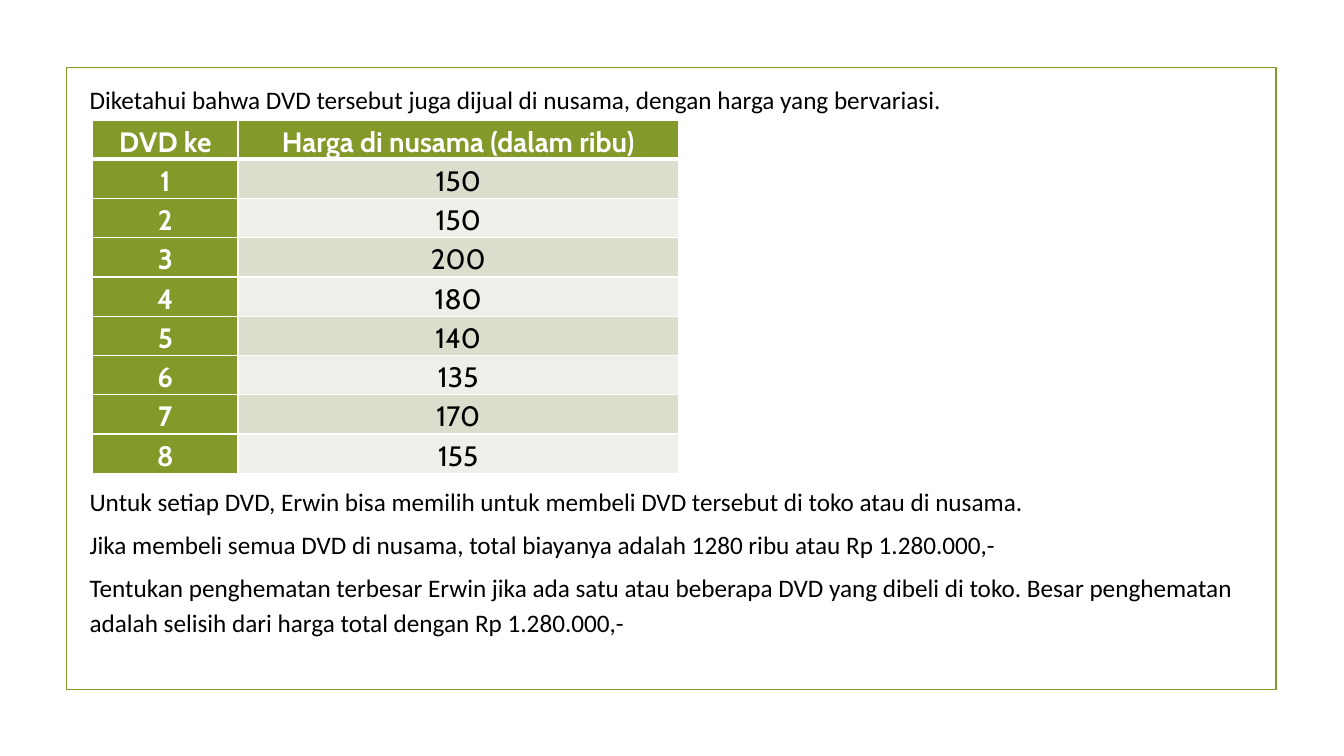
from dataclasses import dataclass

from lxml.etree import SubElement
from pptx import Presentation
from pptx.dml.color import RGBColor
from pptx.enum.shapes import MSO_SHAPE as Shape
from pptx.enum.text import MSO_ANCHOR as Anchor, MSO_AUTO_SIZE as AutoSize, PP_ALIGN as Align
from pptx.oxml.ns import qn
from pptx.util import Inches, Pt

GREEN, WHITE, BLACK = "83992A", "FFFFFF", "000000"
BANDS = ("D9DECD", "EDEFE8")
HEADINGS = ("DVD ke", "Harga di nusama (dalam ribu)")
PRICES = (150, 150, 200, 180, 140, 135, 170, 155)
COLUMN_WIDTHS = (1.44, 4.37)
TABLE_HEIGHT = 3.45


@dataclass(frozen=True)
class TextBlock:
    left: float
    top: float
    width: float
    height: float
    lines: tuple[str, ...]


@dataclass(frozen=True)
class TextStyle:
    font: str
    size: float
    color: str
    bold: bool = False
    align: Align = Align.LEFT


BODY = TextStyle("Calibri", 18, BLACK)
HEADER = TextStyle("Cabin", 20, WHITE, True, Align.CENTER)
PRICE = TextStyle("Cabin", 20, BLACK, False, Align.CENTER)

BLOCKS = (
    TextBlock(0.79, 0.74, 8.75, 0.45, (
        "Diketahui bahwa DVD tersebut juga dijual di nusama, dengan harga yang bervariasi.",
    )),
    TextBlock(0.79, 4.73, 11.69, 1.66, (
        "Untuk setiap DVD, Erwin bisa memilih untuk membeli DVD tersebut di toko atau di nusama.",
        "Jika membeli semua DVD di nusama, total biayanya adalah 1280 ribu atau Rp 1.280.000,-",
        "Tentukan penghematan terbesar Erwin jika ada satu atau beberapa DVD yang dibeli di toko. "
        "Besar penghematan adalah selisih dari harga total dengan Rp 1.280.000,-",
    )),
)


def rgb(color: str) -> RGBColor:
    return RGBColor.from_string(color)


def style_text(frame, style: TextStyle) -> None:
    for para in frame.paragraphs:
        para.alignment = style.align
        para.line_spacing = 1.15
        para.space_after = Pt(6)
        for run in para.runs:
            run.font.name = style.font
            run.font.size = Pt(style.size)
            run.font.bold = style.bold
            run.font.color.rgb = rgb(style.color)


def add_frame(page) -> None:
    box = page.shapes.add_shape(Shape.RECTANGLE, Inches(0.66), Inches(0.67), Inches(12), Inches(6.17))
    box.shadow.inherit = False
    box.fill.background()
    box.line.color.rgb = rgb(GREEN)
    box.line.width = Pt(1.25)


def add_text(page, block: TextBlock) -> None:
    box = page.shapes.add_textbox(
        Inches(block.left), Inches(block.top), Inches(block.width), Inches(block.height))
    frame = box.text_frame
    frame.word_wrap = True
    frame.auto_size = AutoSize.SHAPE_TO_FIT_TEXT
    frame.text = "\n".join(block.lines)
    style_text(frame, BODY)


def add_borders(cell, bottom: float) -> None:
    """Draw white cell borders; must run before the cell is filled."""
    properties = cell._tc.get_or_add_tcPr()
    for side, width in (("L", 1), ("R", 1), ("T", 1), ("B", bottom)):
        line = SubElement(properties, qn(f"a:ln{side}"), w=str(Pt(width)))
        fill = SubElement(line, qn("a:solidFill"))
        SubElement(fill, qn("a:srgbClr"), val=WHITE)


def add_price_table(page) -> None:
    rows = [HEADINGS, *((str(number), str(price)) for number, price in enumerate(PRICES, 1))]
    table = page.shapes.add_table(
        len(rows), len(HEADINGS), Inches(0.92), Inches(1.19),
        Inches(sum(COLUMN_WIDTHS)), Inches(TABLE_HEIGHT)).table
    table.first_col = True
    for column, width in zip(table.columns, COLUMN_WIDTHS):
        column.width = Inches(width)
    for r, row in enumerate(rows):
        for c, text in enumerate(row):
            is_header = r == 0 or c == 0
            cell = table.cell(r, c)
            add_borders(cell, bottom=3 if r == 0 else 1)
            cell.fill.solid()
            cell.fill.fore_color.rgb = rgb(GREEN if is_header else BANDS[(r - 1) % 2])
            cell.margin_left = cell.margin_right = Inches(0.07)
            cell.margin_top = cell.margin_bottom = 0
            cell.vertical_anchor = Anchor.MIDDLE
            cell.text_frame.text = text
            style_text(cell.text_frame, HEADER if is_header else PRICE)


def main() -> None:
    deck = Presentation()
    deck.slide_width, deck.slide_height = Inches(13.33), Inches(7.5)
    page = deck.slides.add_slide(deck.slide_layouts[6])
    add_frame(page)
    add_price_table(page)
    for block in BLOCKS:
        add_text(page, block)
    deck.save("out.pptx")


if __name__ == "__main__":
    main()
